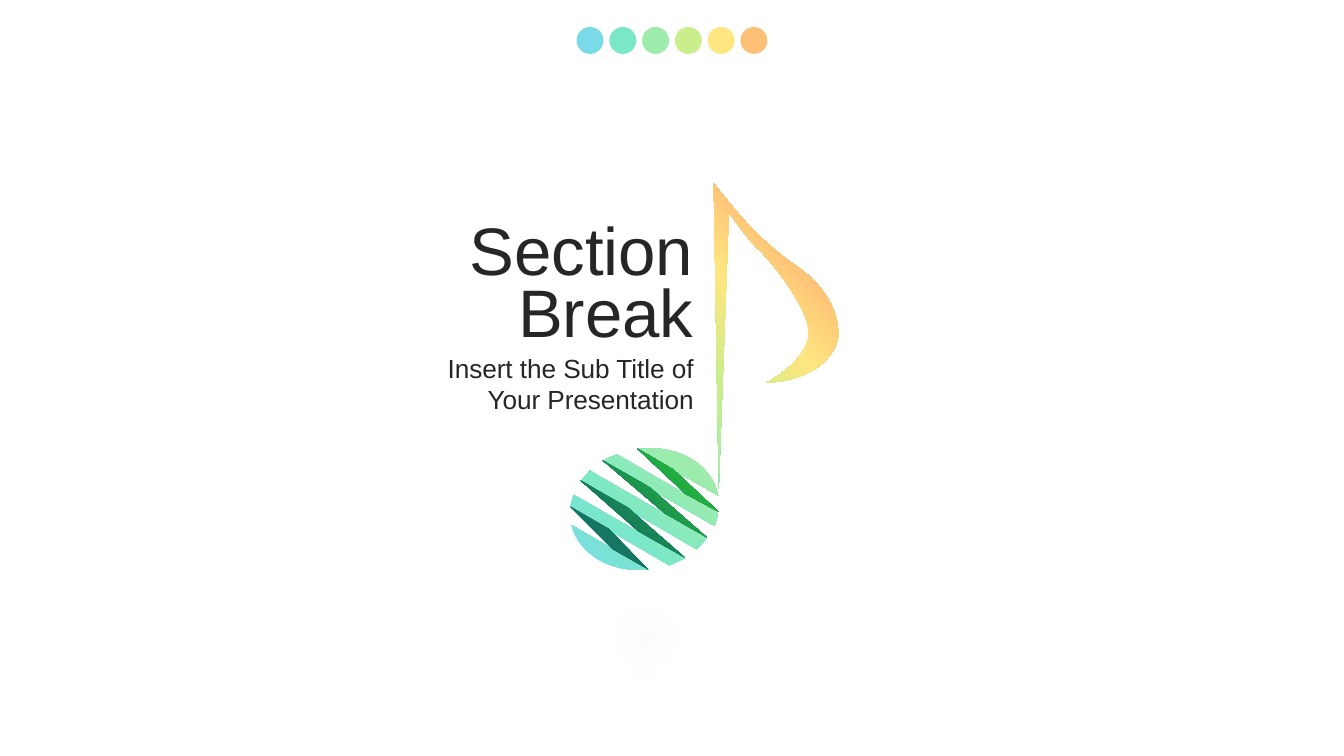
from lxml.etree import SubElement
from pptx import Presentation
from pptx.dml.color import RGBColor
from pptx.enum.shapes import MSO_SHAPE
from pptx.enum.text import MSO_ANCHOR, MSO_AUTO_SIZE, PP_ALIGN
from pptx.oxml.ns import qn
from pptx.util import Cm, Pt

COLORS = {
    "text": "262626", "gray": "A6A6A6",
    "blue": "7ADAE8", "mint": "7AE8C8", "green": "9EECAC",
    "lime": "CAEE8C", "yellow": "FEE680", "orange": "FEC076",
    "teal": "156C79", "pine": "15795C", "leaf": "23B53E", "olive": "7CB51B",
}
RAINBOW = ["blue", "mint", "green", "lime", "yellow", "orange"]
NOTE_STOPS = [(pos, name, 100) for pos, name in zip([0, 15, 34, 51, 68, 83], RAINBOW)]
FOLD_STOPS = [(0, "teal", 100), (34, "pine", 100), (80, "leaf", 100), (100, "olive", 100)]
GLOW_STOPS = [(0, "gray", 3), (25, "gray", 0), (100, "gray", 0)]

UNIT = Cm(0.0254)

# Two numbers make a straight segment, six make a Bézier curve.
NOTE = [
    [(1, 339), (77, 383), (40, 387, 8, 368, 1, 339)],
    [(3, 309), (113, 372), (108, 374, 103, 377, 98, 379), (0, 322),
     (0, 318, 2, 313, 3, 309)],
    [(19, 285), (135, 352), (132, 356, 129, 359, 125, 363), (10, 296),
     (13, 292, 16, 289, 19, 285)],
    [(46, 269), (146, 327), (146, 331, 144, 335, 143, 340), (32, 276),
     (36, 273, 41, 271, 46, 269)],
    [(80, 263), (113, 263, 141, 282, 146, 309), (146, 310, 146, 310, 147, 310),
     (66, 264), (71, 263, 76, 263, 80, 263)],
    [(142, 0), (158, 20), (164, 27), (178, 44, 198, 64, 224, 82),
     (273, 116, 265, 155, 265, 155), (265, 155, 259, 194, 194, 198),
     (194, 198, 231, 179, 236, 153), (240, 128, 201, 80, 187, 66),
     (186, 66, 172, 51, 160, 33), (157, 30), (147, 303)],
]
FOLDS = [
    [(0, 321), (38, 343), (77, 383), (42, 363)],
    [(10, 295), (57, 322), (113, 371), (67, 345)],
    [(32, 275), (79, 302), (135, 351), (93, 327)],
    [(66, 263), (102, 284), (147, 326), (114, 308)],
]


def rgb(name):
    return RGBColor.from_string(COLORS[name])


def plain(sp):
    sp.shadow.inherit = False
    sp.line.fill.background()


def set_gradient(sp, stops, radial=False):
    plain(sp)
    sp.fill.gradient()
    sp.fill.gradient_angle = 45
    grad = sp.element.spPr.find(qn("a:gradFill"))
    gs_list = grad.find(qn("a:gsLst"))
    for gs in list(gs_list):
        gs_list.remove(gs)
    for pos, name, opacity in stops:
        gs = SubElement(gs_list, qn("a:gs"), pos=str(pos * 1000))
        clr = SubElement(gs, qn("a:srgbClr"), val=COLORS[name])
        if opacity < 100:
            SubElement(clr, qn("a:alpha"), val=str(opacity * 1000))
    if radial:
        grad.remove(grad.find(qn("a:lin")))
        center = SubElement(grad, qn("a:path"), {"path": "circle"})
        SubElement(center, qn("a:fillToRect"), l="50000", t="50000", r="50000", b="50000")


def bend_segments(sp, contours):
    segments = [seg for contour in contours for seg in contour[1:]]
    lines = list(sp.element.spPr.iter(qn("a:lnTo")))
    for line, seg in zip(lines, segments):
        if len(seg) == 6:
            parent = line.getparent()
            curve = SubElement(parent, qn("a:cubicBezTo"))
            parent.replace(line, curve)
            for x, y in zip(seg[::2], seg[1::2]):
                SubElement(curve, qn("a:pt"), x=str(x), y=str(y))


def add_outline(shapes, contours, left, top, stops):
    builder = shapes.build_freeform(*contours[0][0], scale=UNIT)
    for i, (start, *segments) in enumerate(contours):
        if i:
            builder.move_to(*start)
        builder.add_line_segments([seg[-2:] for seg in segments], close=True)
    sp = builder.convert_to_shape(left, top)
    bend_segments(sp, contours)
    set_gradient(sp, stops)


def add_oval(shapes, left, top, width, height):
    sp = shapes.add_shape(MSO_SHAPE.OVAL, left, top, width, height)
    plain(sp)
    return sp


def set_text(sp, *lines, size, color="text", font="Arial"):
    tf = sp.text_frame
    tf.word_wrap = True
    tf.auto_size = MSO_AUTO_SIZE.SHAPE_TO_FIT_TEXT
    tf.vertical_anchor = MSO_ANCHOR.MIDDLE
    for i, line in enumerate(lines):
        p = tf.paragraphs[0] if i == 0 else tf.add_paragraph()
        p.alignment = PP_ALIGN.RIGHT
        r = p.add_run()
        r.text = line
        r.font.name = font
        r.font.size = Pt(size)
        r.font.color.rgb = rgb(color)


def add_heading(s, left, top, width):
    title = s.shapes.title
    title.left, title.top, title.width, title.height = left, top, width, Cm(2.31)
    set_text(title, "Section", size=48)
    second = s.shapes.add_textbox(left, top + Cm(1.57), width, Cm(2.31))
    set_text(second, "Break", size=48)
    subtitle = s.shapes.add_textbox(left, top + Cm(3.63), width, Cm(1.85))
    set_text(subtitle, "Insert the Sub Title of", "Your Presentation", size=18.67)


def add_note(s, left, top):
    shapes = s.shapes.add_group_shape().shapes
    add_outline(shapes, NOTE, left, top, NOTE_STOPS)
    add_outline(shapes, FOLDS, left, top, FOLD_STOPS)
    glow = add_oval(shapes, left - Cm(1.68), top + Cm(10.49), Cm(7.11), Cm(1.85))
    set_gradient(glow, GLOW_STOPS, radial=True)


def add_dots(s, left, top, width, size):
    shapes = s.shapes.add_group_shape().shapes
    pitch = (width - size) // (len(RAINBOW) - 1)
    for i, name in enumerate(RAINBOW):
        dot = add_oval(shapes, left + i * pitch, top, size, size)
        dot.fill.solid()
        dot.fill.fore_color.rgb = rgb(name)


def main():
    prs = Presentation()
    prs.slide_width, prs.slide_height = Cm(33.87), Cm(19.05)
    s = prs.slides.add_slide(prs.slide_layouts[5])
    add_heading(s, Cm(8.23), Cm(5.11), Cm(9.5))
    add_note(s, Cm(14.38), Cm(4.62))
    add_dots(s, Cm(14.53), Cm(0.68), Cm(4.81), Cm(0.68))
    prs.save("out.pptx")


if __name__ == "__main__":
    main()
